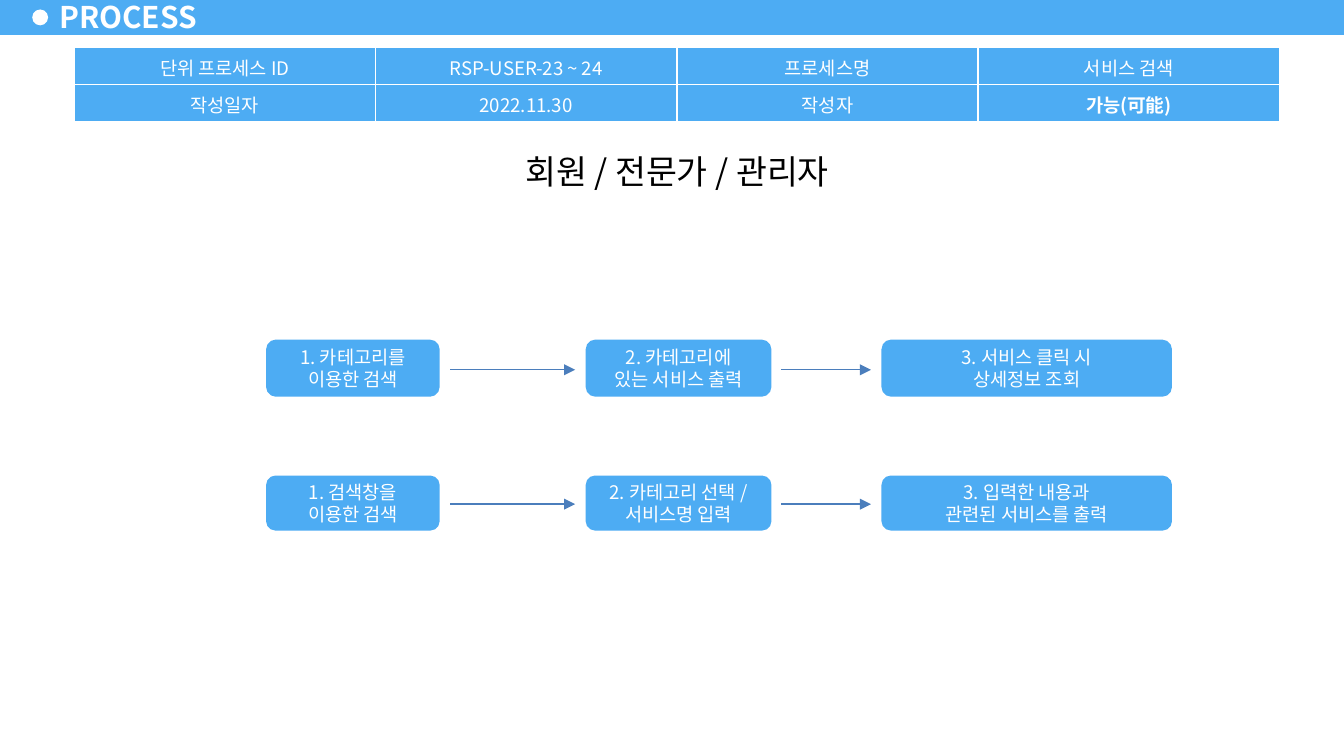
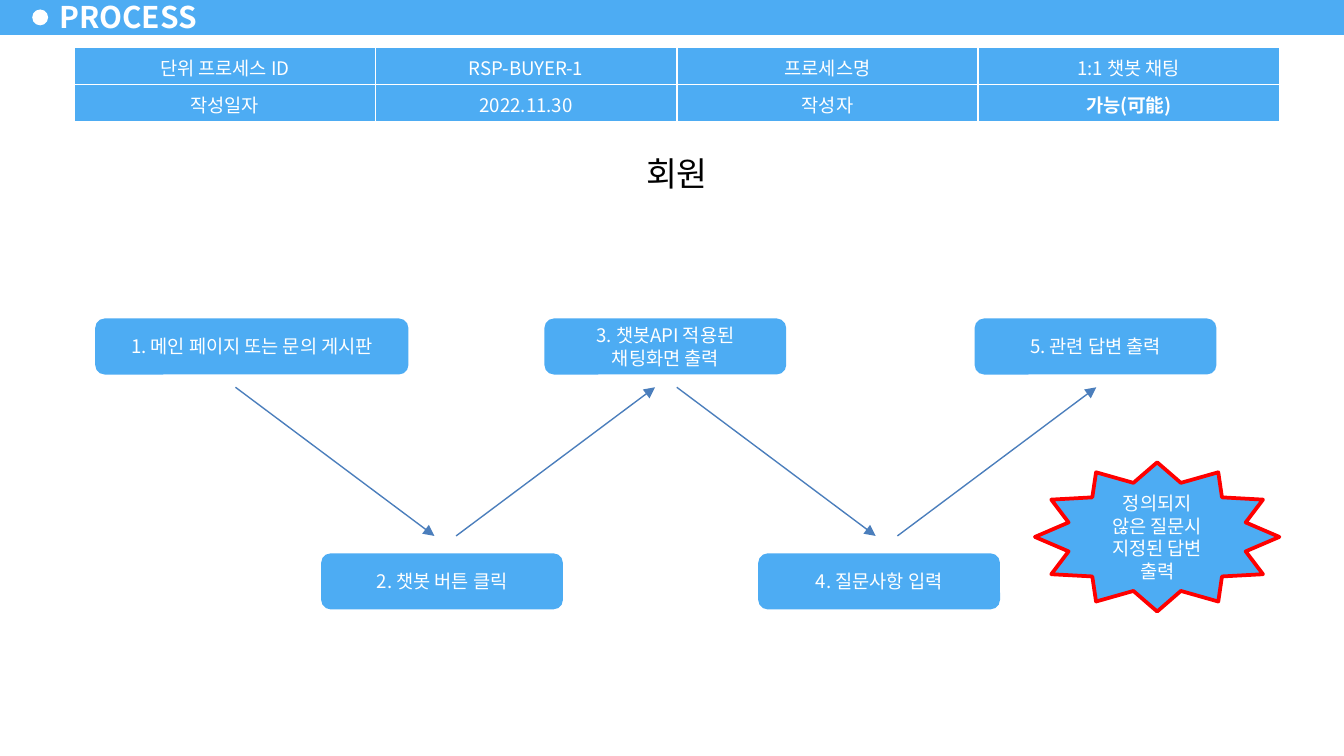
from dataclasses import dataclass
from typing import Any, NamedTuple

from lxml.etree import SubElement
from pptx import Presentation
from pptx.dml.color import RGBColor
from pptx.enum.shapes import MSO_CONNECTOR as Link, MSO_SHAPE as Preset
from pptx.enum.text import MSO_ANCHOR as Anchor, PP_ALIGN as Align
from pptx.oxml.ns import qn
from pptx.util import Cm, Pt

COLOURS = {
    "sky": "4DACF3",
    "white": "FFFFFF",
    "black": "000000",
    "arrow": "4B7EBC",
    "alert": "FF0000",
}
FONT = "Noto Sans CJK KR"

BODY_FONT = {"size": Pt(10), "bold": False}
BOLD_FONT = {"size": Pt(10), "bold": True}
TITLE_FONT = {"size": Pt(16), "bold": True}
ROLE_FONT = {"size": Pt(18), "bold": False}

BODY_FRAME = {
    "word_wrap": True,
    "vertical_anchor": Anchor.MIDDLE,
    "margin_left": Cm(0.25),
    "margin_right": Cm(0.25),
    "margin_top": Cm(0.13),
    "margin_bottom": Cm(0.13),
}
TITLE_FRAME = BODY_FRAME | {
    "margin_left": Cm(0.23),
    "margin_right": Cm(0.23),
    "margin_top": Cm(0.1),
    "margin_bottom": Cm(0.1),
}
ROLE_FRAME = BODY_FRAME | {"vertical_anchor": Anchor.TOP}


class Box(NamedTuple):
    """Left, top, width and height in centimetres."""
    left: float
    top: float
    width: float
    height: float

    def lengths(self) -> list[Cm]:
        return [Cm(value) for value in self]


class Arrow(NamedTuple):
    """Start and end points in centimetres."""
    x1: float
    y1: float
    x2: float
    y2: float


@dataclass(frozen=True)
class Step:
    text: str
    box: Box


@dataclass(frozen=True)
class Process:
    code: str
    name: str
    role: str
    role_top: float
    steps: list[Step]
    arrows: list[Arrow]
    warning: str = ""


BAND = Box(0, -0.05, 25.4, 0.71)
DOT = Box(0.61, 0.18, 0.3, 0.3)
TITLE = Box(0.89, -0.1, 3.1, 0.81)
INFO = Box(1.4, 0.89, 22.78, 1.42)
WARNING = Box(19.56, 8.74, 4.62, 2.82)

# Service search: two rows of three steps
SEARCH_COLUMNS = [(5.03, 3.28), (11.07, 3.51), (16.66, 5.49)]
SEARCH_ROWS = [(6.42, 1.08), (8.99, 1.04)]
SEARCH_GAPS = [(8.51, 10.87), (14.76, 16.46)]
SEARCH_ARROW_TOPS = [6.99, 9.53]
SEARCH_TEXTS = [
    ["1. 카테고리를\v이용한 검색", "2. 카테고리에\n있는 서비스 출력", "3. 서비스 클릭 시\n상세정보 조회"],
    ["1. 검색창을\v이용한 검색", "2. 카테고리 선택 / 서비스명 입력", "3. 입력한 내용과\n관련된 서비스를 출력"],
]

# Chatbot: steps alternate between an upper and a lower level
CHAT_TOPS = [6.02, 10.46]
CHAT_STEPS = [
    ("1. 메인 페이지 또는 문의 게시판", 1.8, 5.92),
    ("2. 챗봇 버튼 클릭", 6.07, 4.57),
    ("3. 챗봇API 적용된\n채팅화면 출력", 10.29, 4.57),
    ("4. 질문사항 입력", 14.33, 4.57),
    ("5. 관련 답변 출력", 18.42, 4.57),
]
CHAT_ARROW_TOPS = [7.32, 10.13]
CHAT_ARROW_LEFT, CHAT_ARROW_PITCH, CHAT_ARROW_SPAN = 4.45, 4.17, 3.76


def zigzag_arrow(index: int) -> Arrow:
    left = CHAT_ARROW_LEFT + index * CHAT_ARROW_PITCH
    start, end = index % 2, (index + 1) % 2
    return Arrow(left, CHAT_ARROW_TOPS[start], left + CHAT_ARROW_SPAN, CHAT_ARROW_TOPS[end])


PROCESSES = [
    Process(
        code="RSP-USER-23 ~ 24",
        name="서비스 검색",
        role="회원 / 전문가 / 관리자",
        role_top=2.72,
        steps=[
            Step(text, Box(left, top, width, height))
            for texts, (top, height) in zip(SEARCH_TEXTS, SEARCH_ROWS)
            for text, (left, width) in zip(texts, SEARCH_COLUMNS)
        ],
        arrows=[
            Arrow(start, top, end, top)
            for top in SEARCH_ARROW_TOPS
            for start, end in SEARCH_GAPS
        ],
    ),
    Process(
        code="RSP-BUYER-1",
        name="1:1 챗봇 채팅",
        role="회원",
        role_top=2.77,
        steps=[
            Step(text, Box(left, CHAT_TOPS[index % 2], width, 1.06))
            for index, (text, left, width) in enumerate(CHAT_STEPS)
        ],
        arrows=[zigzag_arrow(index) for index in range(len(CHAT_STEPS) - 1)],
        warning="정의되지\v않은 질문시 지정된 답변 출력",
    ),
]


def colour(name: str) -> RGBColor:
    return RGBColor.from_string(COLOURS[name])


def apply(target: Any, values: dict[str, Any]) -> None:
    for key, value in values.items():
        setattr(target, key, value)


def write(frame: Any, text: str, font: dict[str, Any] = BODY_FONT,
          ink: str = "white", align: Align = Align.CENTER) -> None:
    """Fill a text frame and set the font for Latin and Korean letters."""
    frame.text = text
    for paragraph in frame.paragraphs:
        paragraph.alignment = align
        for run in paragraph.runs:
            apply(run.font, font | {"name": FONT})
            run.font.color.rgb = colour(ink)
            SubElement(run.font._element, qn("a:ea"), typeface=FONT)


def add_block(slide: Any, preset: Preset, box: Box, fill: str = "sky") -> Any:
    block = slide.shapes.add_shape(preset, *box.lengths())
    block.shadow.inherit = False
    block.fill.solid()
    block.fill.fore_color.rgb = colour(fill)
    block.line.fill.background()
    return block


def add_header(slide: Any) -> None:
    add_block(slide, Preset.RECTANGLE, BAND)
    add_block(slide, Preset.OVAL, DOT, "white")
    title = slide.shapes.add_textbox(*TITLE.lengths()).text_frame
    apply(title, TITLE_FRAME)
    write(title, "PROCESS", TITLE_FONT, align=Align.LEFT)


def add_borders(cell: Any) -> None:
    properties = cell._tc.get_or_add_tcPr()
    for side in ("lnL", "lnR", "lnT", "lnB"):
        border = SubElement(properties, qn(f"a:{side}"), w=str(Pt(1)))
        paint = SubElement(border, qn("a:solidFill"))
        SubElement(paint, qn("a:srgbClr"), val=COLOURS["white"])


def add_info(slide: Any, process: Process) -> None:
    rows = [
        ["단위 프로세스 ID", process.code, "프로세스명", process.name],
        ["작성일자", "2022.11.30", "작성자", "가능(可能)"],
    ]
    info = slide.shapes.add_table(len(rows), len(rows[0]), *INFO.lengths()).table
    apply(info, {"first_row": False, "horz_banding": False})
    for r, texts in enumerate(rows):
        for c, text in enumerate(texts):
            cell = info.cell(r, c)
            add_borders(cell)
            cell.fill.solid()
            cell.fill.fore_color.rgb = colour("sky")
            cell.vertical_anchor = Anchor.MIDDLE
            is_author = (r, c) == (1, 3)
            write(cell.text_frame, text, BOLD_FONT if is_author else BODY_FONT)


def add_role(slide: Any, process: Process) -> None:
    box = Box(8.26, process.role_top, 9.07, 1.04)
    role = add_block(slide, Preset.RECTANGLE, box, "white").text_frame
    apply(role, ROLE_FRAME)
    write(role, process.role, ROLE_FONT, "black")


def add_step(slide: Any, step: Step) -> None:
    block = add_block(slide, Preset.ROUNDED_RECTANGLE, step.box)
    block.adjustments[0] = 0.17
    apply(block.text_frame, BODY_FRAME)
    write(block.text_frame, step.text)


def add_arrow(slide: Any, arrow: Arrow) -> None:
    link = slide.shapes.add_connector(Link.STRAIGHT, *[Cm(value) for value in arrow])
    link.line.color.rgb = colour("arrow")
    link.line.width = Pt(0.75)
    SubElement(link.line._get_or_add_ln(), qn("a:tailEnd"), type="triangle")
    SubElement(link._element.spPr, qn("a:effectLst"))


def add_warning(slide: Any, text: str) -> None:
    burst = add_block(slide, Preset.STAR_12_POINT, WARNING)
    burst.adjustments[0] = 0.375
    burst.line.color.rgb = colour("alert")
    burst.line.width = Pt(2)
    apply(burst.text_frame, BODY_FRAME)
    write(burst.text_frame, text)


def main() -> None:
    deck = Presentation()
    deck.slide_width, deck.slide_height = Cm(25.4), Cm(14.29)
    blank = deck.slide_layouts[6]
    for process in PROCESSES:
        slide = deck.slides.add_slide(blank)
        add_header(slide)
        add_info(slide, process)
        add_role(slide, process)
        for step in process.steps:
            add_step(slide, step)
        for arrow in process.arrows:
            add_arrow(slide, arrow)
        if process.warning:
            add_warning(slide, process.warning)
    deck.save("out.pptx")


if __name__ == "__main__":
    main()
